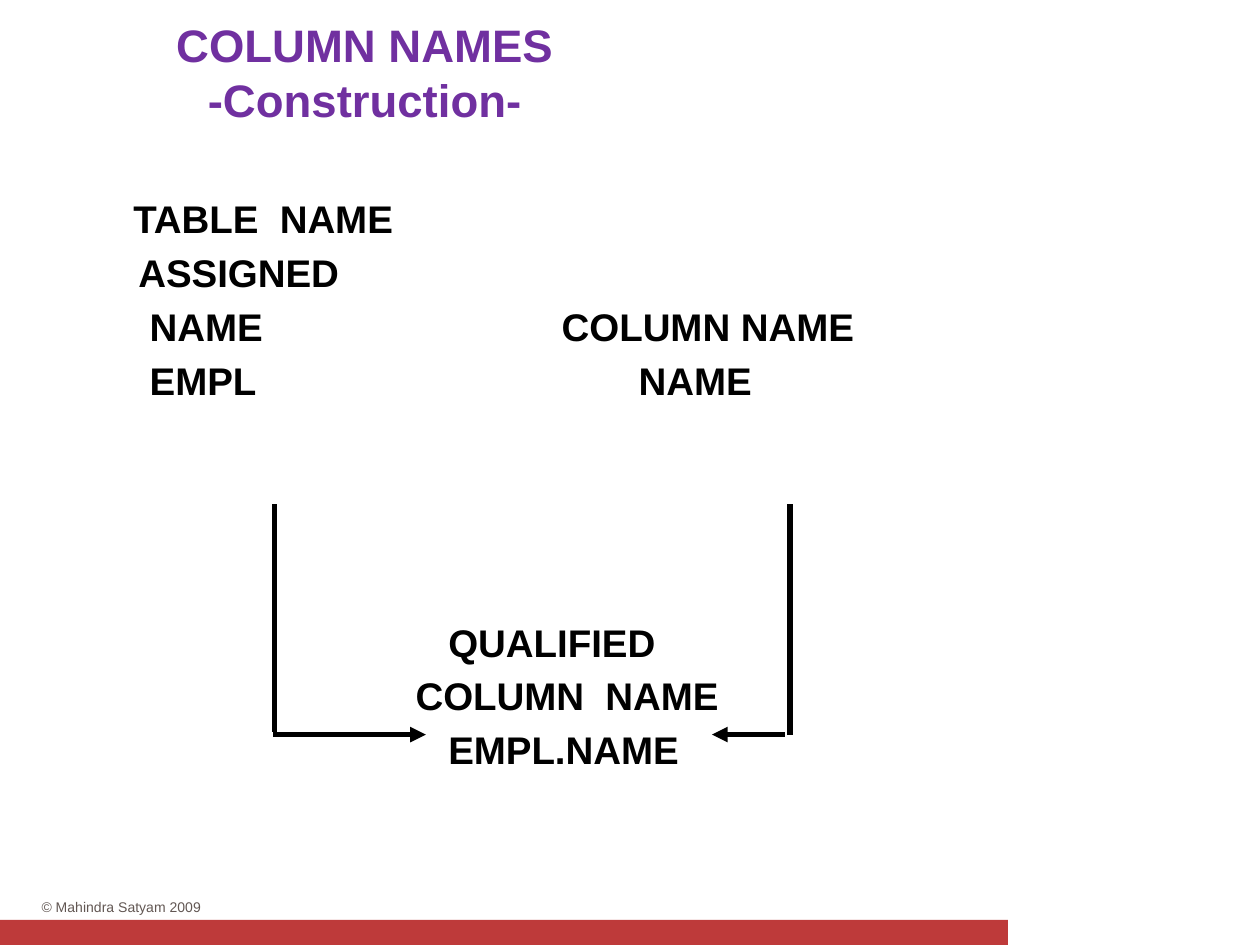
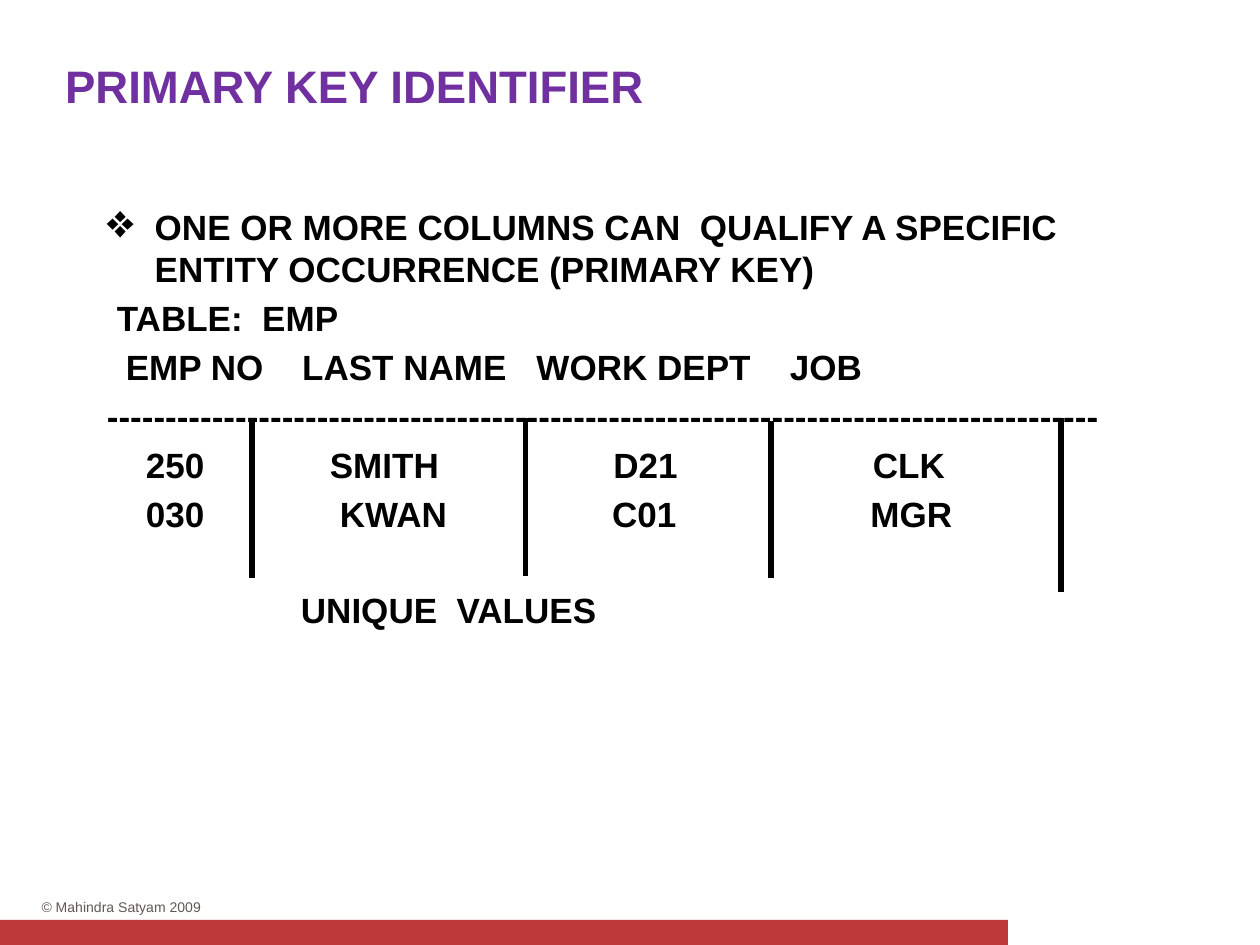
"""Build two slides on qualified column names and primary key identifiers."""
from dataclasses import dataclass
from typing import Any, NamedTuple

from lxml import etree
from pptx import Presentation
from pptx.dml.color import RGBColor
from pptx.enum.shapes import MSO_CONNECTOR, MSO_SHAPE
from pptx.enum.text import MSO_ANCHOR, PP_ALIGN
from pptx.oxml.ns import qn
from pptx.util import Inches, Pt

STRAIGHT = MSO_CONNECTOR.STRAIGHT
RECTANGLE = MSO_SHAPE.RECTANGLE
MIDDLE = MSO_ANCHOR.MIDDLE
TOP = MSO_ANCHOR.TOP
CENTER = PP_ALIGN.CENTER

BLACK = RGBColor(0x00, 0x00, 0x00)
PURPLE = RGBColor(0x70, 0x30, 0xA0)
RED = RGBColor(0xBE, 0x3A, 0x3A)
BROWN = RGBColor(0x62, 0x57, 0x53)

TITLE_FORMAT = {"name": "Arial", "size": Pt(26), "bold": True}
FOOTER_FORMAT = {"name": "Arial", "size": Pt(8), "bold": False}
PADDING = (0.1, 0.05, 0.1, 0.05)
NO_PADDING = (0, 0, 0, 0)
HANGING = 0.38
BULLET_SCALE = "135000"
SPACE_RATIO = 0.2
LINE_RATIO = 1.15


class Area(NamedTuple):
    """Position and size of a box in inches."""
    left: float
    top: float
    width: float
    height: float


class Cell(NamedTuple):
    """Text that starts at an offset from the left edge of the body."""
    offset: float
    text: str


@dataclass(frozen=True)
class Row:
    """One body paragraph, with the lines left open above it."""
    cells: tuple[Cell, ...]
    open_lines: int = 0
    bullet: str = ""


@dataclass(frozen=True)
class Stroke:
    """A straight line between two points in inches."""
    start: tuple[float, float]
    end: tuple[float, float]
    arrow: bool = False


@dataclass(frozen=True)
class Topic:
    """The content of one slide."""
    title: str
    title_area: Area
    body_area: Area
    body_size: int
    rows: tuple[Row, ...]
    strokes: tuple[Stroke, ...]


TOPICS = (
    Topic(
        title="COLUMN NAMES\v-Construction-",
        title_area=Area(0.32, 0.07, 5.15, 1),
        body_area=Area(0.75, 1.5, 8.5, 5.08),
        body_size=22,
        rows=(
            Row((Cell(0.21, "TABLE  NAME"),)),
            Row((Cell(0.25, "ASSIGNED"),)),
            Row((Cell(0.34, "NAME"), Cell(3.61, "COLUMN NAME"))),
            Row((Cell(0.34, "EMPL"), Cell(4.22, "NAME"))),
            Row((Cell(2.71, "QUALIFIED"),), open_lines=4),
            Row((Cell(2.45, "COLUMN  NAME"),)),
            Row((Cell(2.71, "EMPL.NAME"),)),
        ),
        strokes=(
            Stroke((2.18, 4), (2.18, 5.81)),
            Stroke((6.27, 4), (6.27, 5.83)),
            Stroke((2.17, 5.83), (3.38, 5.83), arrow=True),
            Stroke((6.23, 5.83), (5.65, 5.83), arrow=True),
        ),
    ),
    Topic(
        title="PRIMARY KEY IDENTIFIER",
        title_area=Area(0.38, 0.23, 4.87, 0.9),
        body_area=Area(0.75, 1.58, 8.5, 5.08),
        body_size=20,
        rows=(
            Row((Cell(0, "ONE OR MORE COLUMNS CAN  QUALIFY A SPECIFIC "
                         "ENTITY OCCURRENCE (PRIMARY KEY)"),), bullet="❖"),
            Row((Cell(0.08, "TABLE:  EMP"),)),
            Row((Cell(0.15, "EMP NO"), Cell(1.55, "LAST NAME"),
                 Cell(3.41, "WORK DEPT"), Cell(5.42, "JOB"))),
            Row((Cell(0, "-" * 85),)),
            Row((Cell(0.31, "250"), Cell(1.77, "SMITH"),
                 Cell(4.02, "D21"), Cell(6.08, "CLK"))),
            Row((Cell(0.31, "030"), Cell(1.85, "KWAN"),
                 Cell(4.01, "C01"), Cell(6.06, "MGR"))),
            Row((Cell(1.54, "UNIQUE  VALUES"),), open_lines=1),
        ),
        strokes=tuple(
            Stroke((x, top), (x, bottom))
            for x, top, bottom in ((2, 3.34, 4.59), (4.17, 3.32, 4.57),
                                   (6.12, 3.34, 4.59), (8.42, 3.32, 4.7))
        ),
    ),
)


def format_paragraph(para: Any, style: dict[str, Any], color: RGBColor) -> None:
    """Apply font values to every run of a paragraph."""
    for span in para.runs:
        for name, value in style.items():
            setattr(span.font, name, value)
        span.font.color.rgb = color


def add_box(page: Any, area: Area, padding: tuple[float, ...], anchor: Any = TOP) -> Any:
    """Add a wrapping text box and return its text frame."""
    frame = page.shapes.add_textbox(*map(Inches, area)).text_frame
    settings = {"word_wrap": True, "vertical_anchor": anchor}
    sides = ("margin_left", "margin_top", "margin_right", "margin_bottom")
    settings.update(zip(sides, map(Inches, padding)))
    for name, value in settings.items():
        setattr(frame, name, value)
    return frame


def add_footer(page: Any) -> None:
    """Draw the bottom band and the copyright line."""
    band = page.shapes.add_shape(RECTANGLE, *map(Inches, Area(0, 7.3, 8, 0.2)))
    band.shadow.inherit = False
    band.fill.solid()
    band.fill.fore_color.rgb = RED
    band.line.fill.background()
    para = add_box(page, Area(0.33, 7.13, 1.54, 0.13), NO_PADDING).paragraphs[0]
    para.text = "© Mahindra Satyam 2009"
    format_paragraph(para, FOOTER_FORMAT, BROWN)


def add_title(page: Any, text: str, area: Area) -> None:
    """Draw a centred slide title."""
    para = add_box(page, area, PADDING, MIDDLE).paragraphs[0]
    para.text = text
    para.alignment = CENTER
    format_paragraph(para, TITLE_FORMAT, PURPLE)


def add_layout(para: Any, row: Row) -> None:
    """Give a paragraph its bullet or its tab stops."""
    properties = para._p.get_or_add_pPr()
    if row.bullet:
        properties.set("marL", str(Inches(HANGING)))
        properties.set("indent", str(-Inches(HANGING)))
        etree.SubElement(properties, qn("a:buSzPct")).set("val", BULLET_SCALE)
        etree.SubElement(properties, qn("a:buChar")).set("char", row.bullet)
        return
    etree.SubElement(properties, qn("a:buNone"))
    stops = [cell.offset for cell in row.cells if cell.offset]
    if stops:
        tabs = etree.SubElement(properties, qn("a:tabLst"))
        for stop in stops:
            tab = etree.SubElement(tabs, qn("a:tab"))
            tab.set("pos", str(Inches(stop)))
            tab.set("algn", "l")


def add_body(page: Any, topic: Topic) -> None:
    """Draw the body rows with text aligned at tab stops."""
    frame = add_box(page, topic.body_area, PADDING)
    gap = topic.body_size * SPACE_RATIO
    pitch = topic.body_size * LINE_RATIO + gap
    style = {"name": "Arial", "size": Pt(topic.body_size), "bold": True}
    for index, row in enumerate(topic.rows):
        para = frame.add_paragraph() if index else frame.paragraphs[0]
        para.text = "".join(("\t" if cell.offset else "") + cell.text for cell in row.cells)
        add_layout(para, row)
        if index:
            para.space_before = Pt(gap + row.open_lines * pitch)
        format_paragraph(para, style, BLACK)


def add_stroke(page: Any, stroke: Stroke) -> None:
    """Draw a black line, with an arrowhead where wanted."""
    points = map(Inches, stroke.start + stroke.end)
    connector = page.shapes.add_connector(STRAIGHT, *points)
    connector.line.color.rgb = BLACK
    connector.line.width = Pt(3)
    properties = connector._element.spPr
    if stroke.arrow:
        outline = properties.find(qn("a:ln"))
        etree.SubElement(outline, qn("a:tailEnd")).set("type", "triangle")
    etree.SubElement(properties, qn("a:effectLst"))


def main() -> None:
    """Build and save the deck."""
    deck = Presentation()
    deck.slide_width, deck.slide_height = Inches(10), Inches(7.5)
    for topic in TOPICS:
        page = deck.slides.add_slide(deck.slide_layouts[6])
        add_footer(page)
        add_title(page, topic.title, topic.title_area)
        add_body(page, topic)
        for stroke in topic.strokes:
            add_stroke(page, stroke)
    deck.save("out.pptx")


if __name__ == "__main__":
    main()
